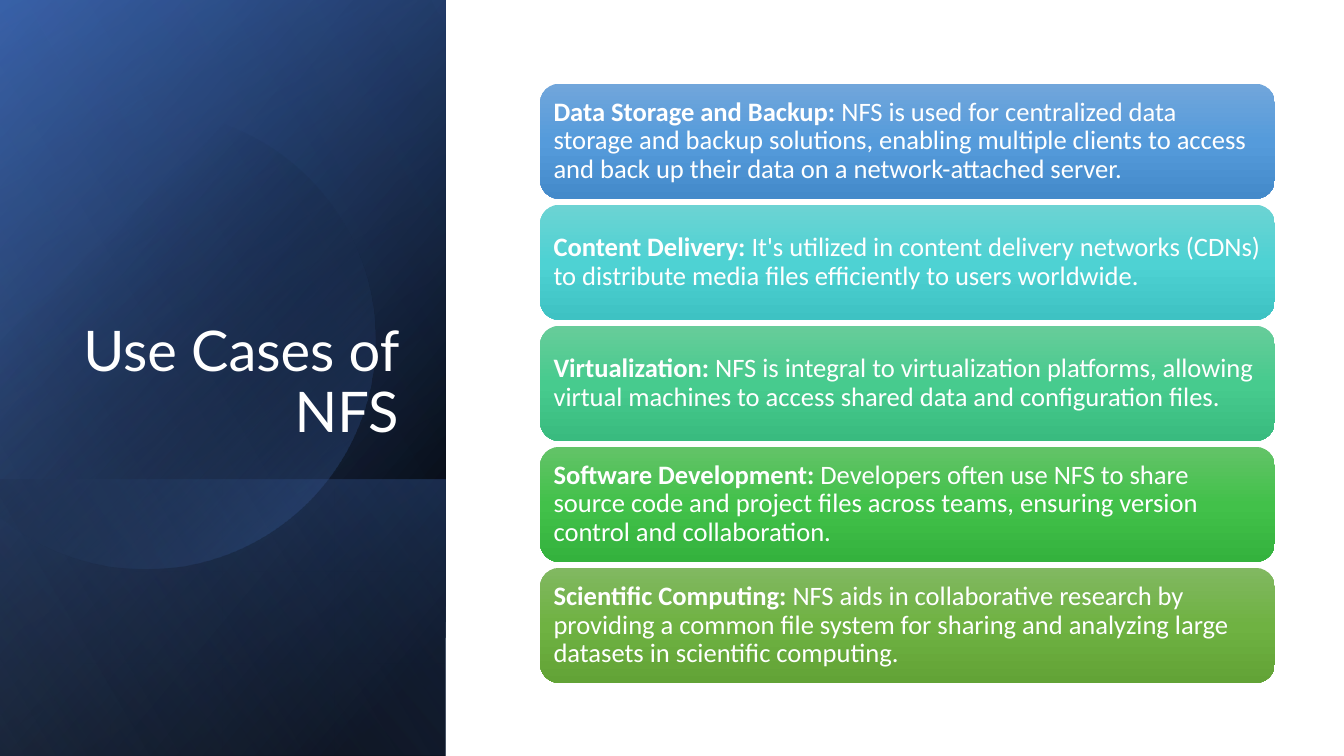
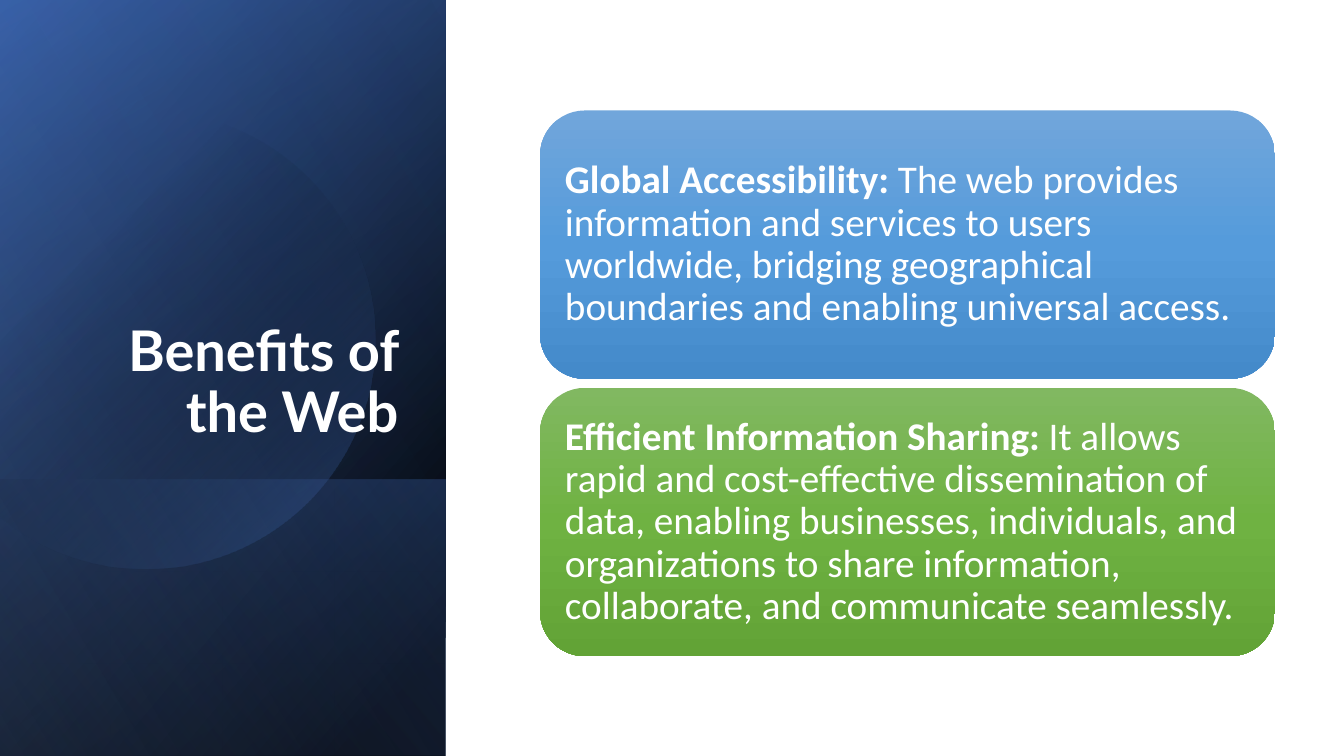
from math import acos, cos, sin

from lxml import etree
from pptx import Presentation
from pptx.dml.color import RGBColor
from pptx.enum.shapes import MSO_SHAPE
from pptx.enum.text import MSO_ANCHOR, PP_ALIGN
from pptx.oxml.ns import qn
from pptx.util import Cm, Pt

RECT, ROUNDED = MSO_SHAPE.RECTANGLE, MSO_SHAPE.ROUNDED_RECTANGLE
MIDDLE, BOTTOM = MSO_ANCHOR.MIDDLE, MSO_ANCHOR.BOTTOM
LEFT, RIGHT = PP_ALIGN.LEFT, PP_ALIGN.RIGHT

SLIDE_W, SLIDE_H = 33.87, 19.05
PANEL_W = 11.23
LOWER_TOP = 12.09
CARD_X, CARD_W, CARDS_MID = 13.61, 18.52, 9.66
WHITE = "FFFFFF"
TITLE_FONT, BODY_FONT = "Lato", "Calibri"

# Gradient stops are (position %, colour, opacity %).
BACK_PANELS = [
    (0, 50, [(8, "000000", 100), (100, "2F5597", 100)]),
    (0, 30, [(0, "000000", 0), (99, "4472C4", 46)]),
    (LOWER_TOP, 130, [(2, "4472C4", 29), (100, "000000", 30)]),
]
CIRCLE = {"x": 3.68, "y": 8.55, "radius": 5.77, "cut": -0.38, "angle": 46,
          "stops": [(29, "000000", 0), (100, "4472C4", 43)]}
FRONT_PANEL = (0, 120, [(0, "000000", 0), (99, "8FAADC", 11)])

BLUE = ("71A6DB", "559BDB", "448ACA")
CYAN = ("6CD3D3", "4ED2D3", "3EC2C3")
TEAL = ("67CC9A", "47CB8E", "39BB7F")
GREEN = ("63C368", "42C14A", "34B23D")
OLIVE = ("81B861", "6FB242", "62A336")

SLIDES = [
    {
        "title": "Use Cases of NFS", "bold": False,
        "size": 19, "height": 2.9, "gap": 0.15, "margin": 0.2,
        "cards": [
            (BLUE, "Data Storage and Backup:",
             " NFS is used for centralized data storage and backup solutions, enabling "
             "multiple clients to access and back up their data on a network-attached server."),
            (CYAN, "Content Delivery:",
             " It's utilized in content delivery networks (CDNs) to distribute media files "
             "efficiently to users worldwide."),
            (TEAL, "Virtualization:",
             " NFS is integral to virtualization platforms, allowing virtual machines to "
             "access shared data and configuration files."),
            (GREEN, "Software Development:",
             " Developers often use NFS to share source code and project files across teams, "
             "ensuring version control and collaboration."),
            (OLIVE, "Scientific Computing:",
             " NFS aids in collaborative research by providing a common file system for "
             "sharing and analyzing large datasets in scientific computing."),
        ],
    },
    {
        "title": "Benefits of the Web", "bold": True,
        "size": 28, "height": 6.76, "gap": 0.23, "margin": 0.3,
        "cards": [
            (BLUE, "Global Accessibility:",
             " The web provides information and services to users worldwide, bridging "
             "geographical boundaries and enabling universal access."),
            (OLIVE, "Efficient Information Sharing:",
             " It allows rapid and cost-effective dissemination of data, enabling businesses, "
             "individuals, and organizations to share information, collaborate, and "
             "communicate seamlessly."),
        ],
    },
]


def rgb(value):
    return RGBColor.from_string(value)


def paint(sp, stops, angle):
    sp.shadow.inherit = False
    sp.line.fill.background()
    sp.fill.background()
    grad = etree.Element(qn("a:gradFill"), rotWithShape="1")
    stop_list = etree.SubElement(grad, qn("a:gsLst"))
    for position, colour, opacity in stops:
        stop = etree.SubElement(stop_list, qn("a:gs"), pos=str(position * 1000))
        clr = etree.SubElement(stop, qn("a:srgbClr"), val=colour)
        if opacity < 100:
            etree.SubElement(clr, qn("a:alpha"), val=str(opacity * 1000))
    etree.SubElement(grad, qn("a:lin"), ang=str(angle * 60000), scaled="0")
    sp_pr = sp._element.spPr
    sp_pr.replace(sp_pr.find(qn("a:noFill")), grad)


def add_panel(s, top, angle, stops):
    length = SLIDE_H - top
    x = (PANEL_W - length) / 2
    y = top + (length - PANEL_W) / 2
    sp = s.shapes.add_shape(RECT, Cm(x), Cm(y), Cm(length), Cm(PANEL_W))
    sp.rotation = 90
    sp._element.spPr.find(qn("a:xfrm")).set("flipH", "1")
    paint(sp, stops, angle)


def add_circle(s, steps=120):
    x, y, radius = CIRCLE["x"], CIRCLE["y"], CIRCLE["radius"]
    limit = acos((CIRCLE["cut"] - x) / radius)
    turns = [limit * (2 * i / steps - 1) for i in range(steps + 1)]
    points = [(Cm(x + radius * cos(t)), Cm(y + radius * sin(t))) for t in turns]
    builder = s.shapes.build_freeform(*points[0])
    builder.add_line_segments(points[1:], close=True)
    paint(builder.convert_to_shape(), CIRCLE["stops"], CIRCLE["angle"])


def write(sp, runs, font, size, align, anchor):
    tf = sp.text_frame
    tf.word_wrap = True
    tf.vertical_anchor = anchor
    p = tf.paragraphs[0]
    p.alignment = align
    p.line_spacing = 0.9
    for text, bold in runs:
        r = p.add_run()
        r.text = text
        r.font.name = font
        r.font.size = Pt(size)
        r.font.bold = bold
        r.font.color.rgb = rgb(WHITE)


def add_side(s, title, bold):
    for panel in BACK_PANELS:
        add_panel(s, *panel)
    add_circle(s)
    add_panel(s, *FRONT_PANEL)
    sp = s.shapes.add_textbox(Cm(1.63), Cm(4.67), Cm(8.66), Cm(6.65))
    write(sp, [(title, bold)], TITLE_FONT, 40, RIGHT, BOTTOM)


def add_cards(s, cards, size, height, gap, margin):
    pitch = height + gap
    top = CARDS_MID - (len(cards) * pitch - gap) / 2
    for i, (colours, label, text) in enumerate(cards):
        sp = s.shapes.add_shape(ROUNDED, Cm(CARD_X), Cm(top + i * pitch),
                                Cm(CARD_W), Cm(height))
        paint(sp, [(50 * n, c, 100) for n, c in enumerate(colours)], 90)
        tf = sp.text_frame
        tf.margin_left = tf.margin_right = Cm(margin)
        tf.margin_top = tf.margin_bottom = Cm(margin)
        write(sp, [(label, True), (text, False)], BODY_FONT, size, LEFT, MIDDLE)


def main():
    """Build the slides and save the presentation."""
    prs = Presentation()
    prs.slide_width, prs.slide_height = Cm(SLIDE_W), Cm(SLIDE_H)
    for data in SLIDES:
        s = prs.slides.add_slide(prs.slide_layouts[6])
        add_side(s, data["title"], data["bold"])
        add_cards(s, data["cards"], data["size"], data["height"],
                  data["gap"], data["margin"])
    prs.save("out.pptx")


if __name__ == "__main__":
    main()
